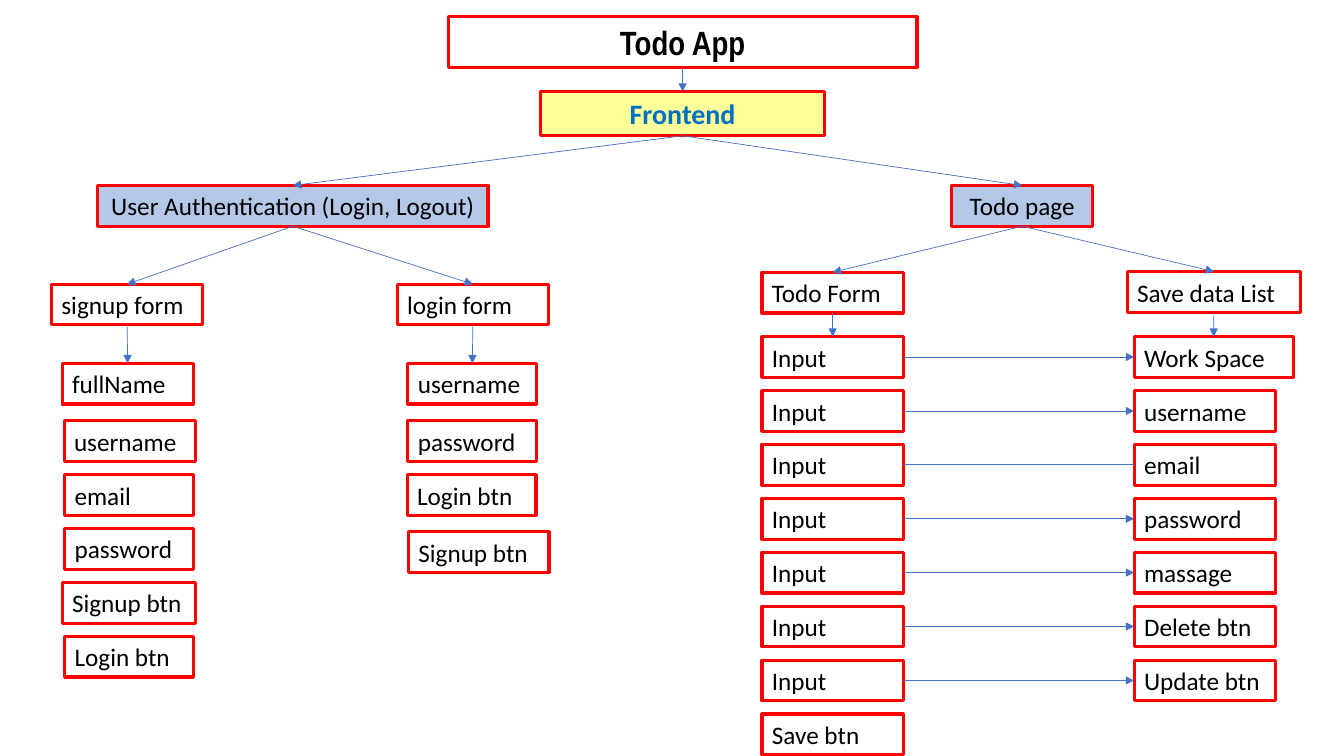
from pptx import Presentation
from pptx.dml.color import RGBColor
from pptx.enum.shapes import MSO_CONNECTOR as Conn
from pptx.enum.text import MSO_ANCHOR as Anchor, MSO_AUTO_SIZE as Auto, PP_ALIGN as Align
from pptx.oxml.ns import qn
from pptx.util import Pt
from lxml.etree import SubElement

ROW = 29.1
STEP = 38.5
TOP, LEFT, BASE, RIGHT = range(4)


def tint(code):
    """Turn a hex string into a colour."""
    return RGBColor.from_string(code)


def style(box, text, fill=None, size=18, font="Calibri", ink="000000", bold=False, mid=False):
    """Give a box its red frame, fill and text."""
    box.line.color.rgb = tint("FF0000")
    box.line.width = Pt(2.25)
    if fill:
        box.fill.solid()
        box.fill.fore_color.rgb = tint(fill)
    frame = box.text_frame
    frame.word_wrap = True
    frame.auto_size = Auto.NONE
    frame.vertical_anchor = Anchor.MIDDLE
    frame.margin_left = frame.margin_right = Pt(7.2)
    frame.margin_top = frame.margin_bottom = Pt(3.6)
    para = frame.paragraphs[0]
    para.alignment = Align.CENTER if mid else Align.LEFT
    para.line_spacing = 1.0
    run = para.add_run()
    run.text = text
    run.font.size = Pt(size)
    run.font.name = font
    run.font.bold = bold
    run.font.color.rgb = tint(ink)


def node(slide, text, x, y, w, h=ROW, **look):
    """Add a framed text box."""
    box = slide.shapes.add_textbox(Pt(x), Pt(y), Pt(w), Pt(h))
    style(box, text, **look)
    return box


def link(slide, start, end, sides=(BASE, TOP), head=True):
    """Join two boxes with a thin line, with or without an arrowhead."""
    line = slide.shapes.add_connector(Conn.STRAIGHT, 0, 0, 0, 0)
    line.begin_connect(start, sides[0])
    line.end_connect(end, sides[1])
    line.line.color.rgb = tint("4472C4")
    line.line.width = Pt(0.5)
    if head:
        SubElement(line.line._get_or_add_ln(), qn("a:tailEnd"), type="triangle")
    SubElement(line._element.spPr, qn("a:effectLst"))


def stack(slide, top, items, x, y, lead=STEP):
    """Place a column of (text, shift, width) boxes under its heading."""
    boxes = []
    for i, (text, shift, w) in enumerate(items):
        drop = lead + (i - 1) * STEP if i else 0
        boxes.append(node(slide, text, x + shift, y + drop, w))
    link(slide, top, boxes[0])
    return boxes


def header(slide, x, y):
    """Build the title and the frontend box, and return the latter."""
    title = slide.shapes.title
    title.left, title.top, title.width, title.height = Pt(x), Pt(y), Pt(334.8), Pt(36.3)
    style(title, "Todo App", size=24, font="Arial Narrow", bold=True, mid=True)
    front = node(slide, "Frontend", x + 65.9, y + 53.5, 203, 31.5,
                 fill="FFFF99", size=20, ink="0070C0", bold=True, mid=True)
    link(slide, title, front)
    return front


def auth(slide, front, x, y):
    """Build the user authentication branch."""
    root = node(slide, "User Authentication (Login, Logout)", x + 33, y, 278.8,
                fill="B4C7E7", mid=True)
    signup = node(slide, "signup form", x, y + 70.5, 108)
    login = node(slide, "login form", x + 247, y + 70.5, 108)
    link(slide, front, root)
    link(slide, root, signup)
    link(slide, root, login)
    stack(slide, signup, [
        ("fullName", 0, 93.6), ("username", 1.4, 93.6), ("email", 1.8, 92),
        ("password", 1.8, 92), ("Signup btn", 0, 95), ("Login btn", 1.8, 92),
    ], x + 7.6, y + 127, 41)
    fields = [("username", 0, 92), ("password", 0, 92), ("Login btn", -0.5, 92)]
    stack(slide, login, fields, x + 254.6, y + 127, 41)
    node(slide, "Signup btn", x + 255, y + 247.2, 100.4)


def todo(slide, front, x, y):
    """Build the todo page branch with its form and saved data."""
    root = node(slide, "Todo page", x + 135.4, y, 101, fill="B4C7E7", mid=True)
    form = node(slide, "Todo Form", x, y + 62, 101)
    saved = node(slide, "Save data List", x + 260.8, y + 61.5, 124)
    link(slide, front, root)
    link(slide, root, form)
    link(slide, root, saved)
    names = ["username", "email", "password", "massage", "Delete btn", "Update btn"]
    fields = [("Work Space", 0, 113.6)] + [(name, 0, 101) for name in names]
    inputs = [("Input", 0, 101)] * len(fields) + [("Save btn", 0, 101)]
    left = stack(slide, form, inputs, x, y + 108)
    right = stack(slide, saved, fields, x + 265.8, y + 108)
    for start, end, (name, _, _) in zip(left, right, fields):
        link(slide, start, end, (RIGHT, LEFT), head=name != "email")


def main():
    """Build and save the slide."""
    deck = Presentation()
    deck.slide_width, deck.slide_height = Pt(960), Pt(540)
    slide = deck.slides.add_slide(deck.slide_layouts[5])
    front = header(slide, 320.2, 12)
    auth(slide, front, 36.8, 132.5)
    todo(slide, front, 544.3, 132.5)
    deck.save("out.pptx")


if __name__ == "__main__":
    main()
